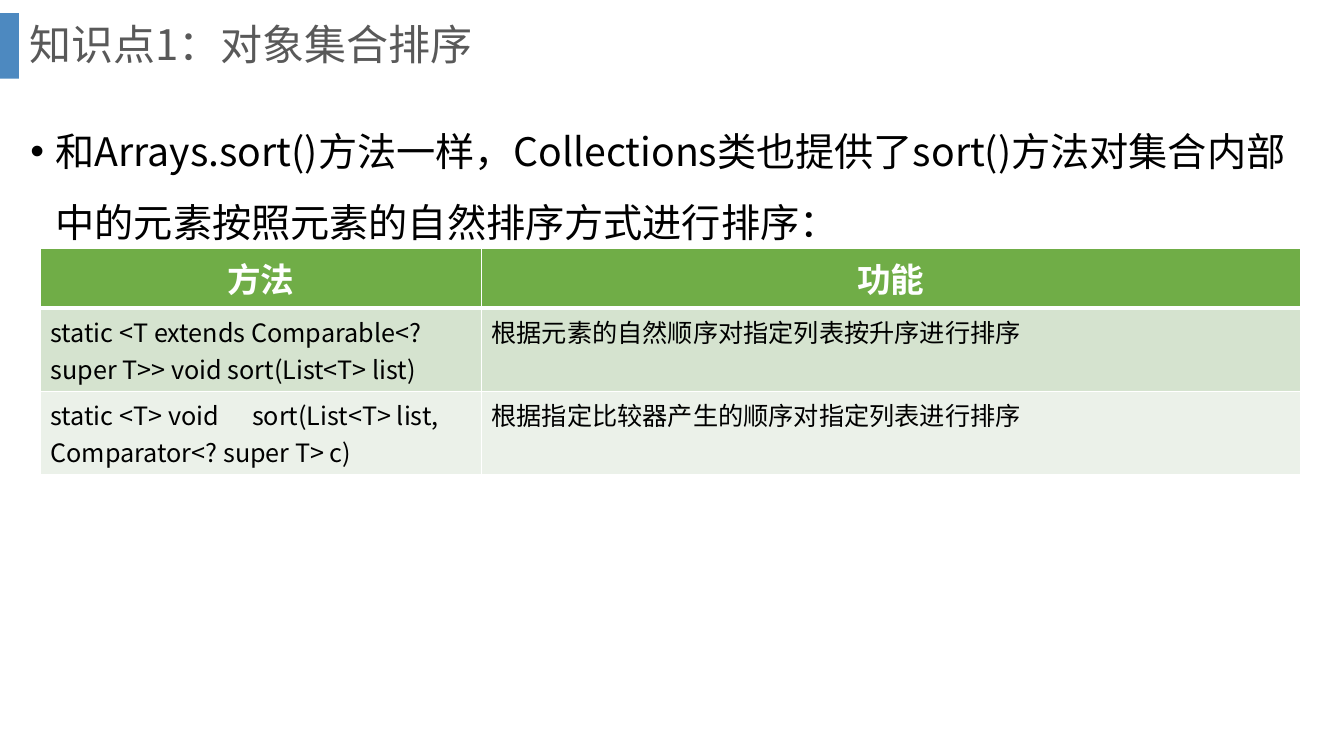
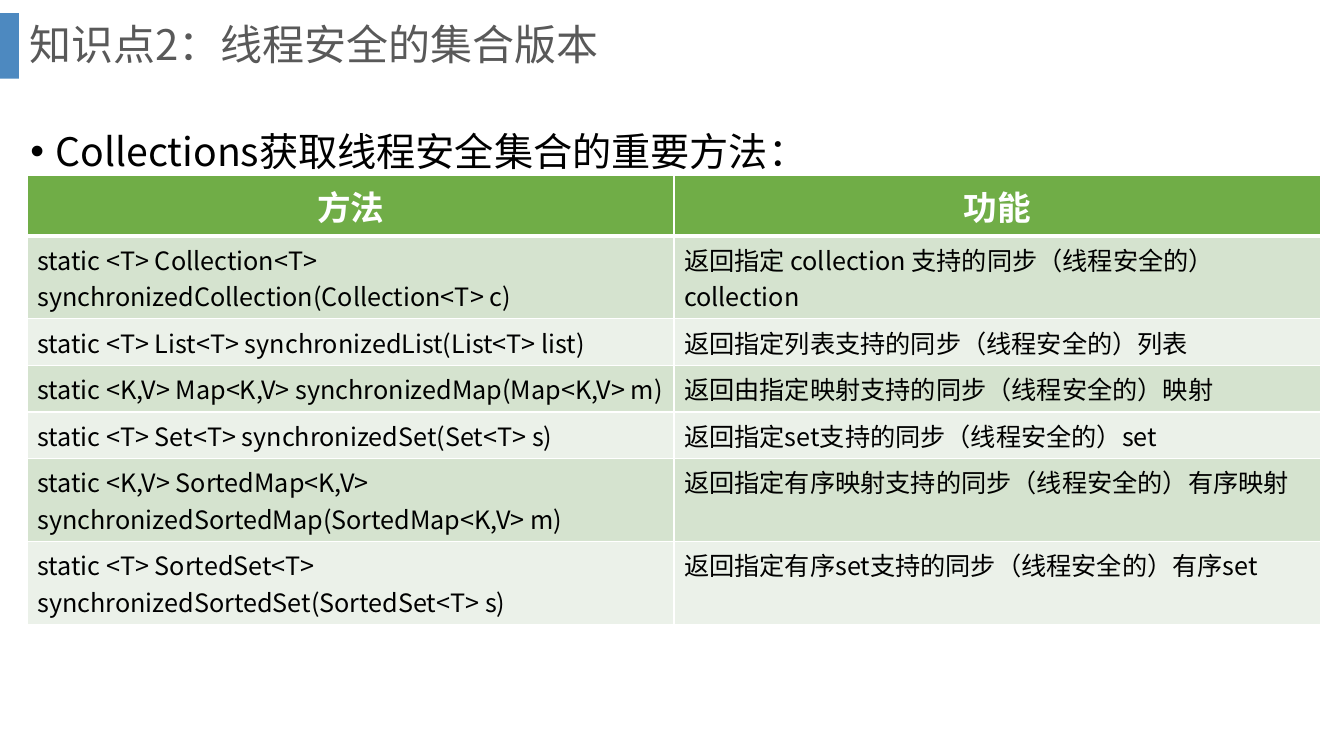
from lxml.etree import SubElement
from pptx import Presentation
from pptx.dml.color import RGBColor
from pptx.enum.shapes import MSO_SHAPE
from pptx.enum.text import MSO_ANCHOR, MSO_AUTO_SIZE, PP_ALIGN
from pptx.oxml.ns import qn
from pptx.util import Cm, Pt

COLOURS = {
    "band": "2E75B6", "title": "595959", "text": "000000", "white": "FFFFFF",
    "header": "70AD47", "odd_row": "D5E3CF", "even_row": "EBF1E9",
}
FONT = "Noto Sans CJK SC"

# Text styles: font values, colour and paragraph values
STYLES = {
    "title": ({"size": Pt(30), "bold": False}, "title",
              {"alignment": PP_ALIGN.LEFT, "line_spacing": 0.9}),
    "bullet": ({"size": Pt(28)}, "text",
               {"line_spacing": 1.5, "space_before": Pt(10)}),
    "header": ({"size": Pt(24), "bold": True}, "white",
               {"alignment": PP_ALIGN.CENTER}),
    "cell": ({"size": Pt(18), "bold": False}, "text",
             {"alignment": PP_ALIGN.LEFT}),
}

# Boxes in cm: left, top, width, height
SLIDE_SIZE = (33.87, 19.05)
TITLE_BOX = (0.48, 0, 32.16, 2.36)
BODY_BOX = (0.51, 2.49, 32.77, 15.14)
HEADER_HEIGHT, ROW_HEIGHT = 1.52, 1.04
BULLET_INDENT = 0.64


def set_values(target, values):
    for name, value in values.items():
        setattr(target, name, value)


def colour(name):
    return RGBColor.from_string(COLOURS[name])


def write_text(text_frame, text, style):
    font_values, colour_name, paragraph_values = STYLES[style]
    paragraph = text_frame.paragraphs[0]
    set_values(paragraph, paragraph_values)
    run = paragraph.add_run()
    run.text = text
    set_values(run.font, {"name": FONT, **font_values})
    run.font.color.rgb = colour(colour_name)
    # East Asian characters take their font from a separate element
    SubElement(run._r.get_or_add_rPr(), qn("a:ea"), typeface=FONT)
    return paragraph


def fill_placeholder(shape, box, text, style, anchor):
    for name, length in zip(("left", "top", "width", "height"), box):
        setattr(shape, name, Cm(length))
    set_values(shape.text_frame, {"word_wrap": True, "vertical_anchor": anchor,
                                  "auto_size": MSO_AUTO_SIZE.NONE})
    return write_text(shape.text_frame, text, style)


def add_heading(slide, box, title):
    left, top, width, height = box
    # Translucent band between the slide edge and the title
    band = slide.shapes.add_shape(MSO_SHAPE.RECTANGLE, 0, Cm(top + 0.33),
                                  Cm(left), Cm(height * 0.7))
    band.shadow.inherit = False
    band.line.fill.background()
    band.fill.solid()
    band.fill.fore_color.rgb = colour("band")
    band_colour = band.fill._xPr.find(qn("a:solidFill"))[0]
    SubElement(band_colour, qn("a:alpha"), val="85000")
    fill_placeholder(slide.shapes.title, box, title, "title", MSO_ANCHOR.MIDDLE)


def add_bullet(slide, box, text):
    paragraph = fill_placeholder(slide.placeholders[1], box, text, "bullet",
                                 MSO_ANCHOR.TOP)
    properties = paragraph._p.get_or_add_pPr()
    properties.set("marL", str(Cm(BULLET_INDENT)))
    properties.set("indent", str(-Cm(BULLET_INDENT)))
    SubElement(properties, qn("a:buFont"), typeface="Arial")
    SubElement(properties, qn("a:buChar"), char="•")


def set_borders(cell, widths):
    properties = cell._tc.get_or_add_tcPr()
    for index, (side, width) in enumerate(widths.items()):
        line = properties.makeelement(qn(f"a:ln{side}"), {"w": str(Pt(width))})
        fill = SubElement(line, qn("a:solidFill"))
        SubElement(fill, qn("a:srgbClr"), val=COLOURS["white"])
        properties.insert(index, line)


def add_method_table(slide, box, first_share, methods):
    left, top, width = box
    rows = [("方法", "功能"), *methods]
    height = HEADER_HEIGHT + ROW_HEIGHT * len(methods)
    table = slide.shapes.add_table(len(rows), 2, Cm(left), Cm(top),
                                   Cm(width), Cm(height)).table
    table.horz_banding = False
    for column, share in zip(table.columns, (first_share, 1 - first_share)):
        column.width = Cm(width * share)
    for row_index, texts in enumerate(rows):
        is_header = row_index == 0
        table.rows[row_index].height = Cm(HEADER_HEIGHT if is_header else ROW_HEIGHT)
        band = "odd_row" if row_index % 2 else "even_row"
        top_border = 3 if row_index == 1 else 1
        for column_index, text in enumerate(texts):
            cell = table.cell(row_index, column_index)
            cell.vertical_anchor = MSO_ANCHOR.MIDDLE if is_header else MSO_ANCHOR.TOP
            cell.fill.solid()
            cell.fill.fore_color.rgb = colour("header" if is_header else band)
            set_borders(cell, {"L": 1, "R": 1, "T": top_border,
                               "B": 3 if is_header else 1})
            write_text(cell.text_frame, text, "header" if is_header else "cell")


def add_topic_slide(presentation, title, bullet, table_box, first_share, methods):
    slide = presentation.slides.add_slide(presentation.slide_layouts[1])
    add_heading(slide, TITLE_BOX, title)
    add_bullet(slide, BODY_BOX, bullet)
    add_method_table(slide, table_box, first_share, methods)


SORT_METHODS = [
    ("static <T extends Comparable<? super T>> void sort(List<T> list)",
     "根据元素的自然顺序对指定列表按升序进行排序"),
    ("static <T> void\tsort(List<T> list, Comparator<? super T> c)",
     "根据指定比较器产生的顺序对指定列表进行排序"),
]
SYNCHRONIZED_METHODS = [
    ("static <T> Collection<T> synchronizedCollection(Collection<T> c)",
     "返回指定 collection 支持的同步（线程安全的）collection"),
    ("static <T> List<T> synchronizedList(List<T> list)",
     "返回指定列表支持的同步（线程安全的）列表"),
    ("static <K,V> Map<K,V> synchronizedMap(Map<K,V> m)",
     "返回由指定映射支持的同步（线程安全的）映射"),
    ("static <T> Set<T> synchronizedSet(Set<T> s)",
     "返回指定set支持的同步（线程安全的）set"),
    ("static <K,V> SortedMap<K,V> synchronizedSortedMap(SortedMap<K,V> m)",
     "返回指定有序映射支持的同步（线程安全的）有序映射"),
    ("static <T> SortedSet<T> synchronizedSortedSet(SortedSet<T> s)",
     "返回指定有序set支持的同步（线程安全的）有序set"),
]

presentation = Presentation()
presentation.slide_width, presentation.slide_height = map(Cm, SLIDE_SIZE)
add_topic_slide(
    presentation, "知识点1：对象集合排序",
    "和Arrays.sort()方法一样，Collections类也提供了sort()方法对集合内部中的元素"
    "按照元素的自然排序方式进行排序：",
    (1.02, 6.25, 31.75), 0.35, SORT_METHODS)
add_topic_slide(
    presentation, "知识点2：线程安全的集合版本",
    "Collections获取线程安全集合的重要方法：",
    (0.69, 4.42, 32.59), 0.5, SYNCHRONIZED_METHODS)
presentation.save("out.pptx")
